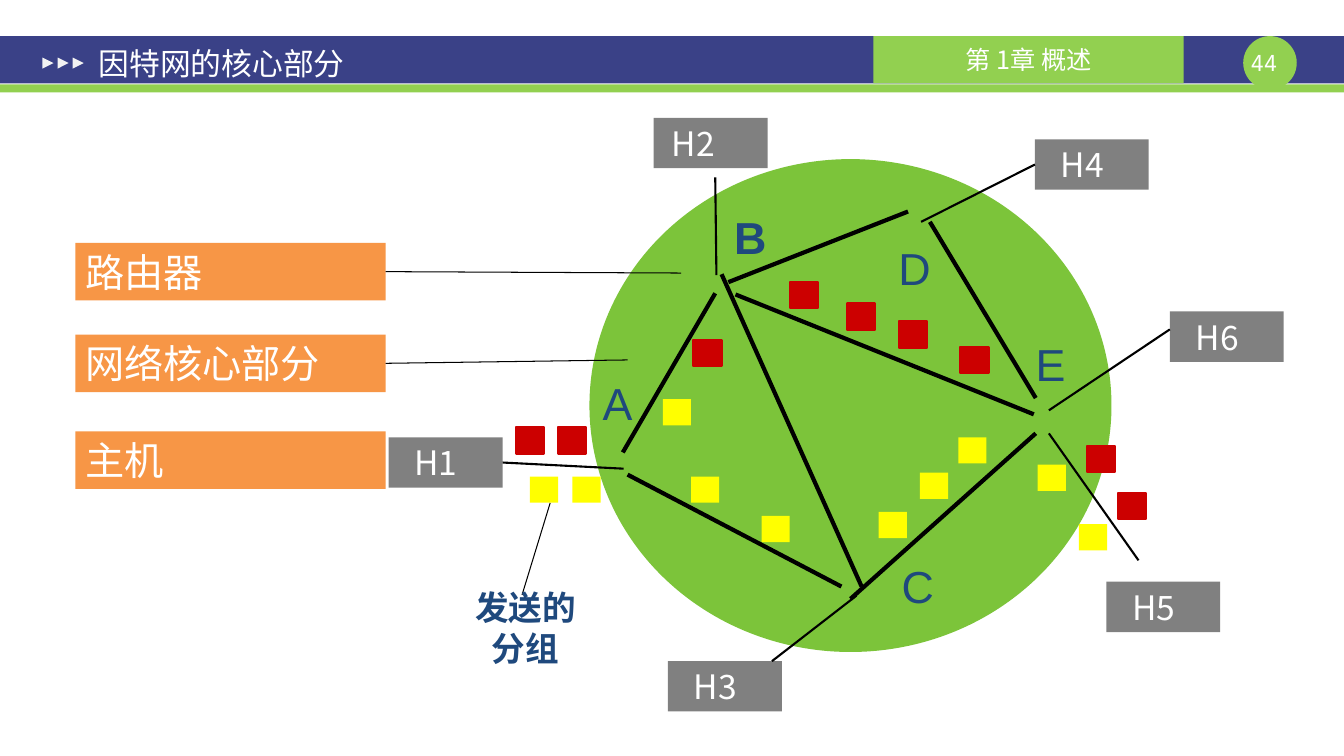
from lxml.etree import SubElement
from pptx import Presentation
from pptx.dml.color import RGBColor
from pptx.enum.shapes import MSO_CONNECTOR, MSO_SHAPE
from pptx.enum.text import MSO_ANCHOR, MSO_AUTO_SIZE, PP_ALIGN
from pptx.oxml.ns import qn
from pptx.util import Cm, Pt

CJK_FONT = "Noto Sans CJK SC"
RIGHT, LEFT = 3, 1


def rgb(value):
    return RGBColor.from_string(value)


def write_text(shape, text, size=24, font="Arial", color="FFFFFF", bold=False,
               align=PP_ALIGN.LEFT, anchor=MSO_ANCHOR.MIDDLE, wrap=True,
               insets=(0.25, 0.13), indent=0, line_height=None):
    """Fill a shape with one paragraph per line; insets are (side, top) in cm."""
    frame = shape.text_frame
    frame.auto_size = MSO_AUTO_SIZE.NONE
    frame.word_wrap = wrap
    frame.vertical_anchor = anchor
    side, top = insets
    frame.margin_left, frame.margin_right = Cm(side + indent), Cm(side)
    frame.margin_top = frame.margin_bottom = Cm(top)
    for number, line in enumerate(text.split("\n")):
        paragraph = frame.add_paragraph() if number else frame.paragraphs[0]
        paragraph.alignment = align
        if line_height:
            paragraph.line_spacing = Pt(line_height)
        run = paragraph.add_run()
        run.text = line
        run.font.size = Pt(size)
        run.font.bold = bold
        run.font.color.rgb = rgb(color)
        run.font.name = font
        SubElement(run.font._element, qn("a:ea"), typeface=CJK_FONT)


class NetworkSlide:
    navy, lime, cloud = "3A4187", "92D050", "7CC43A"
    orange, gray, ink = "F79646", "808080", "1F497D"
    yellow, red = "FFFF00", "CC0000"

    def __init__(self, presentation):
        self.slide = presentation.slides.add_slide(presentation.slide_layouts[5])
        self.shapes = self.slide.shapes

    def shape(self, x, y, width, height, fill, kind=MSO_SHAPE.RECTANGLE, outline=None):
        shape = self.shapes.add_shape(kind, Cm(x), Cm(y), Cm(width), Cm(height))
        shape.shadow.inherit = False
        shape.fill.solid()
        shape.fill.fore_color.rgb = rgb(fill)
        if outline:
            shape.line.color.rgb = rgb(outline)
            shape.line.width = Pt(1.5)
        else:
            shape.line.fill.background()
        return shape

    def text(self, x, y, width, height, text, **text_format):
        box = self.shapes.add_textbox(Cm(x), Cm(y), Cm(width), Cm(height))
        write_text(box, text, **text_format)

    def line(self, start, end, width):
        """Draw a line from start to end; start is a point or (shape, side)."""
        joined = not isinstance(start[0], (int, float))
        first = end if joined else start
        connector = self.shapes.add_connector(
            MSO_CONNECTOR.STRAIGHT, *(Cm(value) for value in first + end))
        if joined:
            connector.begin_connect(*start)
        connector.line.color.rgb = rgb("000000")
        connector.line.width = Pt(width)
        SubElement(connector._element.spPr, qn("a:effectLst"))

    def title(self, text):
        title = self.shapes.title
        title.left, title.top, title.width, title.height = (
            Cm(2.16), Cm(0.99), Cm(17.32), Cm(1.19))
        write_text(title, text, size=22, insets=(0.33, 0.18))
        self.shapes._spTree.append(title._element)

    def header(self, title, chapter, page):
        self.shape(0, 0.91, 33.88, 1.19, self.navy)
        self.shape(0, 2.13, 33.88, 0.2, self.lime)
        self.shape(31.34, 0.91, 1.35, 1.35, self.lime, MSO_SHAPE.OVAL)
        self.text(31.19, 1.22, 1.35, 0.69, page, size=16, font="Noto Sans Mono",
                  align=PP_ALIGN.CENTER, insets=(0, 0))
        tab = self.shape(22.02, 0.91, 7.82, 1.19, self.lime)
        write_text(tab, chapter, size=18, font=CJK_FONT, align=PP_ALIGN.CENTER)
        for number in range(3):
            arrow = self.shape(1.07 + 0.38 * number, 1.45, 0.28, 0.28, "F2F2F2",
                               MSO_SHAPE.ISOSCELES_TRIANGLE)
            arrow.rotation = 90
        self.title(title)

    def legend(self, y, text):
        box = self.shape(1.9, y, 7.82, 1.45, self.orange)
        write_text(box, text, size=28)
        return box

    def host(self, x, y, name, indent):
        box = self.shape(x, y, 2.87, 1.27, self.gray)
        write_text(box, name, font=CJK_FONT, indent=indent)
        return box

    def packets(self, points, color, outline=None):
        for x, y in points:
            self.shape(x, y, 0.71, 0.66, color, outline=outline)


LEGEND = {"路由器": 6.12, "网络核心部分": 8.43, "主机": 10.87}
HOSTS = {"H1": (9.8, 11.02), "H2": (16.48, 2.97), "H3": (16.84, 16.66),
         "H4": (26.09, 3.51), "H5": (27.89, 14.66), "H6": (29.49, 7.85)}
ROUTERS = {"A": (14.94, 9.35), "B": (18.26, 5.16), "C": (22.48, 13.94),
           "D": (22.4, 5.94), "E": (25.86, 8.36)}
ROUTER_LINKS = [
    ((18.36, 7.11), (22.89, 5.33)), ((23.44, 5.59), (26.11, 10.03)),
    ((18.03, 7.39), (15.7, 11.4)), ((15.82, 11.96), (21.21, 14.78)),
    ((21.44, 15.09), (26.11, 10.92)), ((18.54, 7.42), (26.06, 10.44)),
    ((18.19, 6.91), (21.72, 14.78))]
YELLOW_PACKETS = [
    (13.36, 12.01), (14.43, 12.01), (17.42, 12.01), (19.2, 13), (22.15, 12.9),
    (23.19, 11.91), (26.16, 11.71), (24.16, 11.02), (27.2, 13.21), (16.71, 10.06)]
RED_PACKETS = [
    (13, 10.77), (14.07, 10.77), (17.48, 8.56), (19.91, 7.11), (21.36, 7.65),
    (22.66, 8.1), (24.21, 8.74), (27.41, 11.23), (28.19, 12.42)]


def main():
    presentation = Presentation()
    presentation.slide_width, presentation.slide_height = Cm(33.88), Cm(19.05)
    network = NetworkSlide(presentation)
    network.header("因特网的核心部分", "第 1章 概述", "44")
    network.shape(14.86, 4.01, 13.16, 12.42, network.cloud, MSO_SHAPE.OVAL)

    legend = {text: network.legend(y, text) for text, y in LEGEND.items()}
    hosts = {name: network.host(x, y, name, 0.2 if name == "H2" else 0.4)
             for name, (x, y) in HOSTS.items()}

    for start, end in ROUTER_LINKS:
        network.line(start, end, 3)
    host_links = [
        ((hosts["H1"], RIGHT), (15.72, 11.81)), ((18.03, 4.47), (18.06, 6.93)),
        ((19.46, 16.66), (21.59, 15.01)), ((hosts["H4"], LEFT), (23.22, 5.59)),
        ((28.7, 14.12), (26.44, 10.92)), ((29.49, 8.3), (26.44, 10.34))]
    for start, end in host_links:
        network.line(start, end, 1.5)
    pointers = [
        ((legend["路由器"], RIGHT), (17.17, 6.88)),
        ((legend["网络核心部分"], RIGHT), (15.82, 9.07)),
        ((13.16, 14.99), (13.87, 12.67))]
    for start, end in pointers:
        network.line(start, end, 0.75)

    for name, (x, y) in ROUTERS.items():
        network.text(x, y, 1.3, 1.6, name, size=32, color=network.ink,
                     bold=name == "B", anchor=MSO_ANCHOR.TOP, wrap=False)
    network.text(11.71, 14.66, 3.07, 2.31, "发送的\n分组", font=CJK_FONT,
                 color=network.ink, bold=True, align=PP_ALIGN.CENTER,
                 anchor=MSO_ANCHOR.TOP, wrap=False, line_height=29)
    network.packets(YELLOW_PACKETS, network.yellow)
    network.packets(RED_PACKETS, network.red, outline=network.red)
    presentation.save("out.pptx")


if __name__ == "__main__":
    main()
